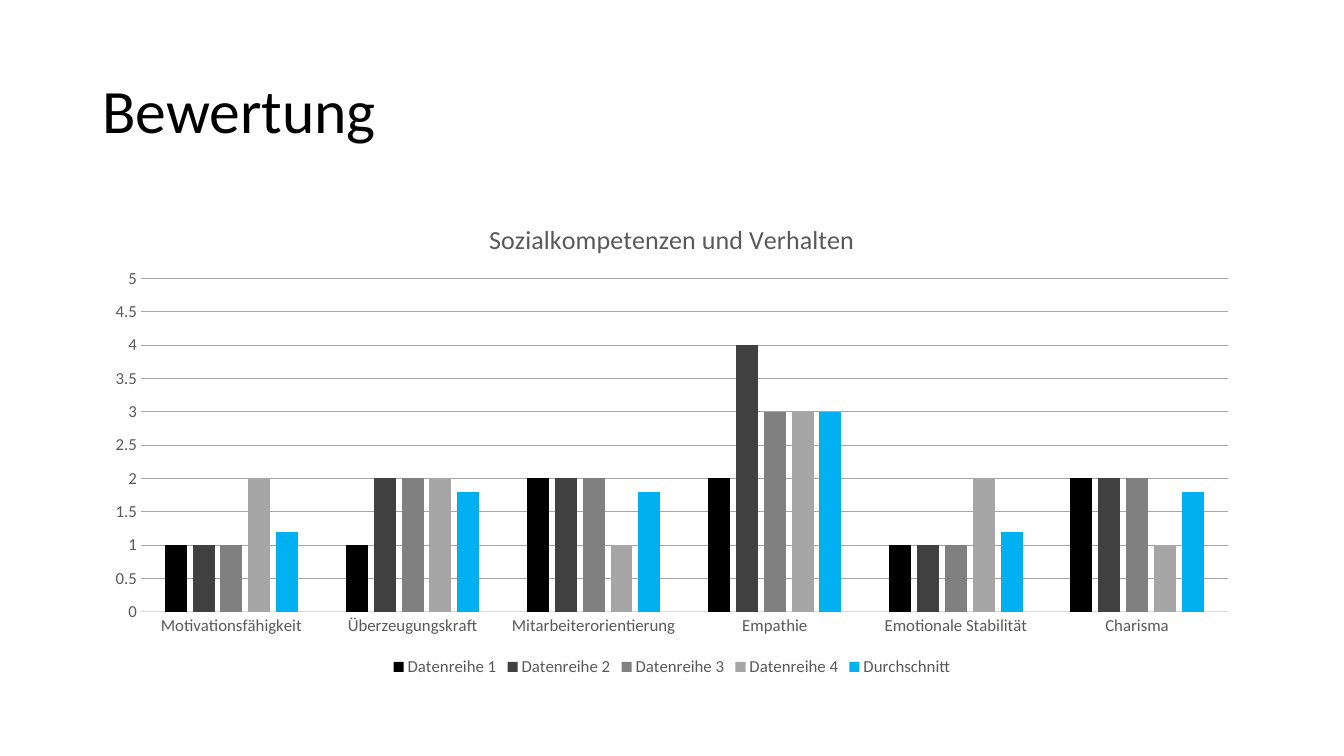
import lxml.etree
import pptx
import pptx.util
import pptx.chart.data
import pptx.dml.color
import pptx.enum.chart
import pptx.enum.text
import pptx.oxml.ns

Cm = pptx.util.Cm
Pt = pptx.util.Pt
RGBColor = pptx.dml.color.RGBColor
qn = pptx.oxml.ns.qn

BLACK = RGBColor(0x00, 0x00, 0x00)
CHARCOAL = RGBColor(0x40, 0x40, 0x40)
GREY = RGBColor(0x80, 0x80, 0x80)
SILVER = RGBColor(0xA6, 0xA6, 0xA6)
BLUE = RGBColor(0x00, 0xB0, 0xF0)
LABEL_GREY = RGBColor(0x59, 0x59, 0x59)
AXIS_GREY = RGBColor(0xD9, 0xD9, 0xD9)
FONT = "Calibri"

CHART_WIDTH, CHART_HEIGHT = Cm(29.21), Cm(12.09)
CATEGORIES = ["Motivationsfähigkeit", "Überzeugungskraft", "Mitarbeiterorientierung",
              "Empathie", "Emotionale Stabilität", "Charisma"]
SERIES = [
    ("Datenreihe 1", [1, 1, 2, 2, 1, 2], BLACK),
    ("Datenreihe 2", [1, 2, 2, 4, 1, 2], CHARCOAL),
    ("Datenreihe 3", [1, 2, 2, 3, 1, 2], GREY),
    ("Datenreihe 4", [2, 2, 1, 3, 2, 1], SILVER),
    ("Durchschnitt", [1.2, 1.8, 1.8, 3, 1.2, 1.8], BLUE),
]


def style_font(font, size, color):
    font.name = FONT
    font.size = Pt(size)
    font.bold = False
    font.color.rgb = color


deck = pptx.Presentation()
deck.slide_width = Cm(33.87)
deck.slide_height = Cm(19.05)
page = deck.slides.add_slide(deck.slide_layouts[6])

# Heading
box = page.shapes.add_textbox(Cm(2.33), Cm(1.01), Cm(29.21), Cm(3.68))
box.text_frame.word_wrap = True
box.text_frame.vertical_anchor = pptx.enum.text.MSO_ANCHOR.MIDDLE
para = box.text_frame.paragraphs[0]
para.line_spacing = 0.9
span = para.add_run()
span.text = "Bewertung"
style_font(span.font, 44, BLACK)

# Column chart
data = pptx.chart.data.CategoryChartData()
data.categories = CATEGORIES
for name, values, color in SERIES:
    data.add_series(name, values)
chart = page.shapes.add_chart(
    pptx.enum.chart.XL_CHART_TYPE.COLUMN_CLUSTERED,
    Cm(2.33), Cm(5.07), CHART_WIDTH, CHART_HEIGHT, data).chart
style_font(chart.font, 10, BLACK)

plot = chart.plots[0]
plot.gap_width = 219
plot.overlap = -27
plot.vary_by_categories = False
for series, (name, values, color) in zip(plot.series, SERIES):
    series.format.fill.solid()
    series.format.fill.fore_color.rgb = color
    series.invert_if_negative = False

# Chart title
chart.has_title = True
para = chart.chart_title.text_frame.paragraphs[0]
style_font(para.font, 18.6, LABEL_GREY)
span = para.add_run()
span.text = "Sozialkompetenzen und Verhalten"
style_font(span.font, 18.6, LABEL_GREY)
chart.chart_title.include_in_layout = False

# Axes
for axis in (chart.category_axis, chart.value_axis):
    axis.major_tick_mark = pptx.enum.chart.XL_TICK_MARK.NONE
    axis.minor_tick_mark = pptx.enum.chart.XL_TICK_MARK.NONE
    style_font(axis.tick_labels.font, 12, LABEL_GREY)
chart.category_axis.format.line.color.rgb = AXIS_GREY
chart.category_axis.format.line.width = Pt(0.75)

scale = chart.value_axis
scale.minimum_scale = 0
scale.maximum_scale = 5
scale.major_unit = 0.5
scale.tick_labels.number_format = "General"
scale.tick_labels.number_format_is_linked = False
scale.format.line.fill.background()
scale.has_major_gridlines = True
scale.major_gridlines.format.line.color.rgb = SILVER
scale.major_gridlines.format.line.width = Pt(0.75)

# Plot area inside the chart, as fractions of the chart size
plot_area = chart.plots[0]._element.getparent()
for layout in plot_area.findall(qn("c:layout")):
    plot_area.remove(layout)
layout = lxml.etree.Element(qn("c:layout"))
plot_area.insert(0, layout)
manual = lxml.etree.SubElement(layout, qn("c:manualLayout"))
for tag, value in [
    ("c:layoutTarget", "inner"), ("c:xMode", "edge"), ("c:yMode", "edge"),
    ("c:x", Cm(1.22) / CHART_WIDTH), ("c:y", Cm(1.95) / CHART_HEIGHT),
    ("c:w", Cm(27.39) / CHART_WIDTH), ("c:h", Cm(8.4) / CHART_HEIGHT),
]:
    lxml.etree.SubElement(manual, qn(tag)).set("val", str(value))

# Legend
chart.has_legend = True
chart.legend.position = pptx.enum.chart.XL_LEGEND_POSITION.BOTTOM
chart.legend.include_in_layout = False
style_font(chart.legend.font, 12, LABEL_GREY)

deck.save("out.pptx")
